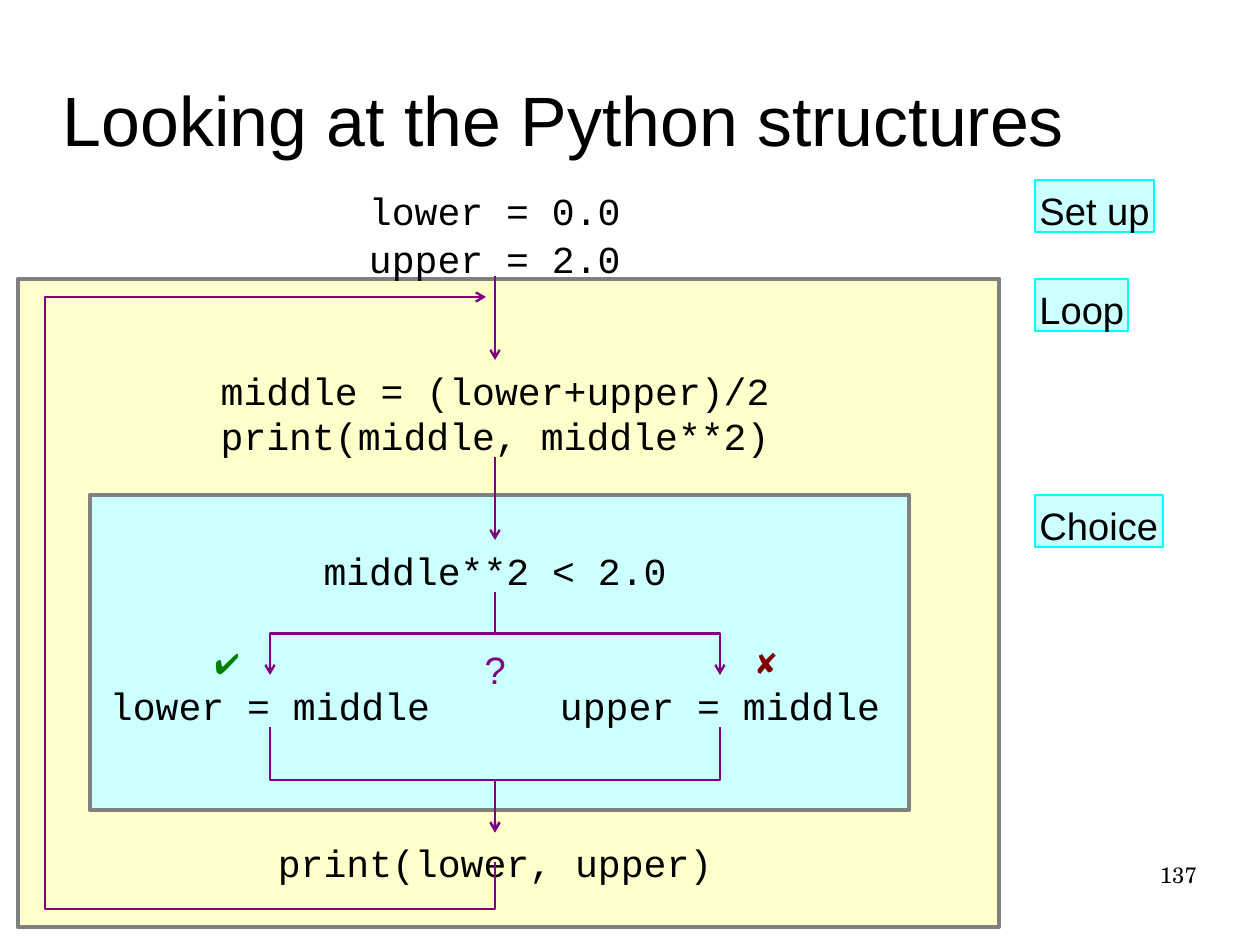
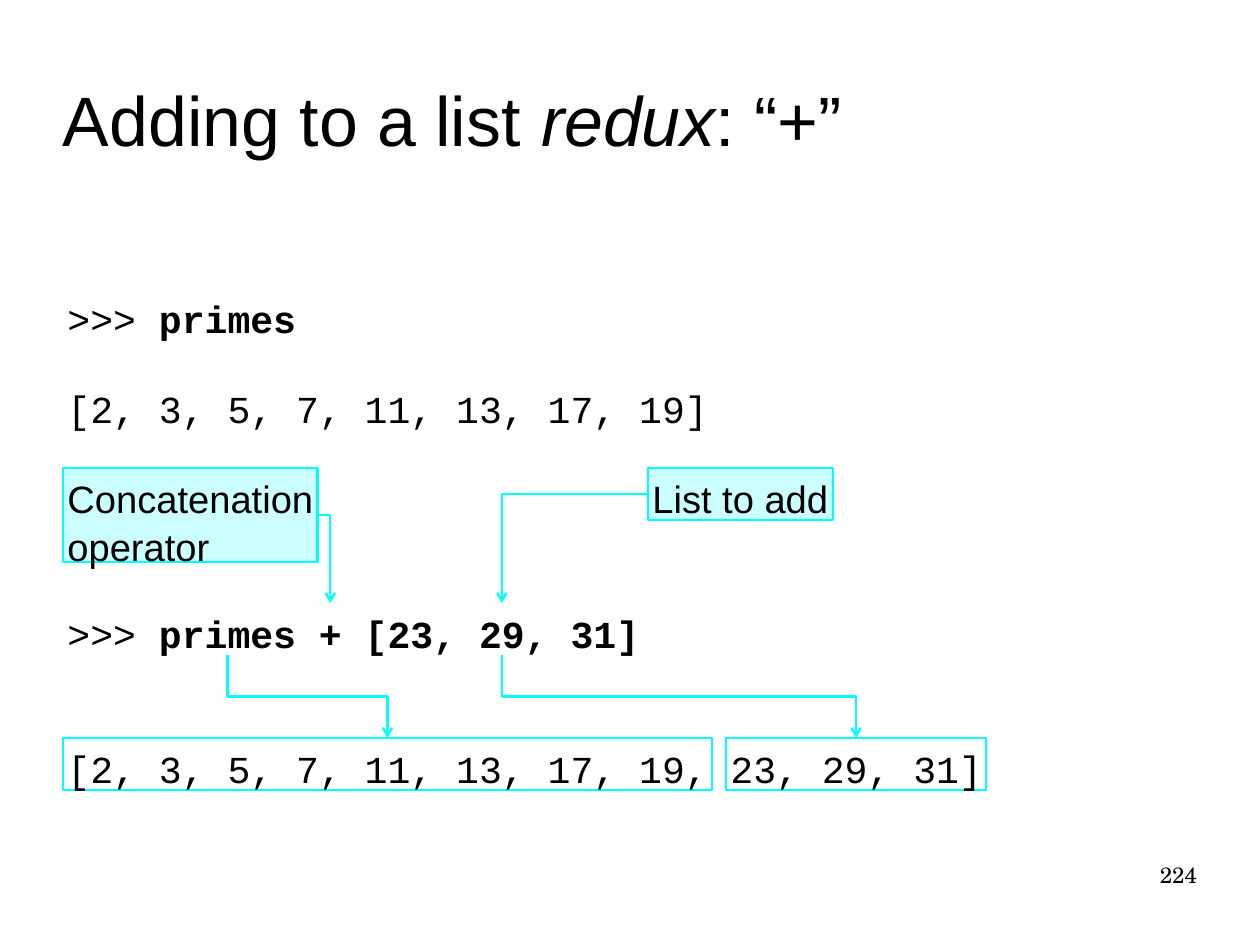
from dataclasses import dataclass
from typing import NamedTuple

from lxml.etree import SubElement
from pptx import Presentation
from pptx.dml.color import RGBColor
from pptx.enum.shapes import MSO_CONNECTOR as Connector, MSO_SHAPE as Preset
from pptx.enum.text import MSO_ANCHOR as Anchor, MSO_AUTO_SIZE as AutoSize, PP_ALIGN as Align
from pptx.oxml.ns import qn
from pptx.util import Cm, Pt

# Grid: 28 columns by 21 rows, each cell one centimetre
COLUMNS, ROWS = 28, 21
MARGIN = 1.4
INSET = 0.1
CODE_SIZE = 24
CHARACTER = CODE_SIZE * 0.6 * 2.54 / 72  # width of one code character
CODE_HEIGHT = 1.16
LABEL_HEIGHT = 1.15
THIN, THICK = 1.42, 2.83

# Shared look
SANS, MONO, SERIF = "Arial", "Courier New", "TeX Gyre Schola"
BLACK, GREY, PURPLE = "000000", "808080", "800080"
GREEN, RED = "008000", "800000"
CYAN, PALE_CYAN, PALE_YELLOW = "00FFFF", "CCFFFF", "FFFFCC"


class Point(NamedTuple):
    column: float
    row: float


class Run(NamedTuple):
    text: str
    bold: bool = False
    italic: bool = False


@dataclass(frozen=True)
class Box:
    column: float
    row: float
    width: float
    height: float

    def lengths(self):
        return tuple(Cm(n) for n in (self.column, self.row, self.width, self.height))


@dataclass(frozen=True)
class Label:
    lines: list
    box: Box


@dataclass(frozen=True)
class Mark:
    text: str
    box: Box
    color: str
    size: float


def paint(color_format, color: str) -> None:
    color_format.rgb = RGBColor.from_string(color)


def write_text(shape, lines, *, font=SANS, size=CODE_SIZE, color=BLACK, align=Align.LEFT,
               anchor=Anchor.TOP, inset=INSET, wrap=False, spacing=1.06) -> None:
    """Each line is a string or a list of runs."""
    frame = shape.text_frame
    frame.auto_size = AutoSize.NONE
    frame.word_wrap = wrap
    frame.vertical_anchor = anchor
    frame.margin_left = frame.margin_right = Cm(inset)
    frame.margin_top = frame.margin_bottom = Cm(inset)
    for index, line in enumerate(lines):
        paragraph = frame.add_paragraph() if index else frame.paragraphs[0]
        paragraph.alignment = align
        paragraph.line_spacing = spacing
        for part in [Run(line)] if isinstance(line, str) else line:
            run = paragraph.add_run()
            run.text = part.text
            run.font.name, run.font.size = font, Pt(size)
            run.font.bold, run.font.italic = part.bold, part.italic
            paint(run.font.color, color)


def add_text(slide, box: Box, lines, **text_format):
    shape = slide.shapes.add_textbox(*box.lengths())
    write_text(shape, lines, **text_format)
    return shape


def add_rectangle(slide, box: Box, *, line: str, fill=None, weight=THIN):
    shape = slide.shapes.add_shape(Preset.RECTANGLE, *box.lengths())
    shape.shadow.inherit = False
    if fill:
        shape.fill.solid()
        paint(shape.fill.fore_color, fill)
    else:
        shape.fill.background()
    paint(shape.line.color, line)
    shape.line.width = Pt(weight)
    return shape


def add_label(slide, label: Label) -> None:
    write_text(add_rectangle(slide, label.box, line=CYAN, fill=PALE_CYAN), label.lines)


def code_box(column: float, row: float, count: int) -> Box:
    return Box(column, row, count * CHARACTER + 2 * INSET, CODE_HEIGHT)


def add_centred_code(slide, axis: float, row: float, text: str) -> None:
    box = code_box(axis - len(text) * CHARACTER / 2 - INSET, row, len(text))
    add_text(slide, box, [text], font=MONO)


def style_arrow(shape, color: str) -> None:
    paint(shape.line.color, color)
    shape.line.width = Pt(THIN)
    outline = shape._element.spPr.find(qn("a:ln"))
    SubElement(outline, qn("a:tailEnd"), type="arrow")


def add_arrow(slide, kind, start: Point, end: Point, color: str):
    connector = slide.shapes.add_connector(
        kind, Cm(start.column), Cm(start.row), Cm(end.column), Cm(end.row))
    style_arrow(connector, color)
    SubElement(connector._element.spPr, qn("a:effectLst"))
    return connector


def turn(connector, degrees: int, flip: str) -> None:
    transform = connector._element.spPr.find(qn("a:xfrm"))
    transform.set("rot", str(degrees * 60000))
    if flip:
        transform.set(flip, "1")


def add_step(slide, start: Point, end: Point, color: str) -> None:
    """Elbow that runs down, across and down again."""
    across, down = end.column - start.column, end.row - start.row
    middle = Point((start.column + end.column) / 2, (start.row + end.row) / 2)
    corner = Point(middle.column - down / 2, middle.row - abs(across) / 2)
    opposite = Point(corner.column + down, corner.row + abs(across))
    connector = add_arrow(slide, Connector.ELBOW, corner, opposite, color)
    if across > 0:
        turn(connector, 270, "flipH")
    else:
        turn(connector, 90, "")


def add_corner(slide, start: Point, end: Point, color: str) -> None:
    """Elbow that runs across and then down."""
    left, right = sorted((start.column, end.column))
    connector = add_arrow(slide, Connector.ELBOW, Point(left, start.row),
                          Point(right, end.row), color)
    connector._element.spPr.find(qn("a:prstGeom")).set("prst", "bentConnector2")
    if end.column < start.column:
        turn(connector, 180, "flipV")


def add_path(slide, points, color: str) -> None:
    first, *others = [(Cm(p.column), Cm(p.row)) for p in points]
    builder = slide.shapes.build_freeform(*first)
    builder.add_line_segments(others, close=False)
    shape = builder.convert_to_shape()
    shape.shadow.inherit = False
    shape.fill.background()
    style_arrow(shape, color)


def add_slide(presentation, title_runs, number: str):
    slide = presentation.slides.add_slide(presentation.slide_layouts[5])
    title = slide.shapes.title
    title.left, title.top, title.width, title.height = Box(
        MARGIN, 0.84, COLUMNS - 2 * MARGIN, 3.5).lengths()
    write_text(title, [title_runs], size=44, anchor=Anchor.MIDDLE, inset=0, wrap=True)
    add_text(slide, Box(20.07, 19.13, 6.53, 1.45), [number], font=SERIF, size=14,
             align=Align.RIGHT, inset=0, wrap=True, spacing=1.0)
    return slide


def build_structures(presentation) -> None:
    slide = add_slide(presentation, [Run("Looking at the Python structures")], "137")
    axis, yes, no = 11, 6, 16
    loop_row, choice_row = 6.2, 11

    # Nested frames
    add_rectangle(slide, Box(0.4, loop_row, 21.8, 14.4), line=GREY,
                  fill=PALE_YELLOW, weight=THICK)
    add_rectangle(slide, Box(2, choice_row, 18.2, 7), line=GREY,
                  fill=PALE_CYAN, weight=THICK)

    # Code
    add_text(slide, Box(8.1, 4, 5.8, 2.13), ["lower = 0.0", "upper = 2.0"], font=MONO)
    for column, row, text in (
        (axis, 8, "middle = (lower+upper)/2"),
        (axis, 9, "print(middle, middle**2)"),
        (axis, 12, "middle**2 < 2.0"),
        (yes, 15, "lower = middle"),
        (no, 15, "upper = middle"),
        (axis, 18.5, "print(lower, upper)"),
    ):
        add_centred_code(slide, column, row, text)

    # Flow
    for start, end in ((6.13, 8), (10.16, 12)):
        add_arrow(slide, Connector.STRAIGHT, Point(axis, start), Point(axis, end), PURPLE)
    for branch in (yes, no):
        add_step(slide, Point(axis, 13.16), Point(branch, 15), PURPLE)
        add_step(slide, Point(branch, 16.16), Point(axis, 18.5), PURPLE)
    add_path(slide, [Point(axis, 19.15), Point(axis, 20.2), Point(1, 20.2),
                     Point(1, 6.6), Point(10.8, 6.6)], PURPLE)

    # Decision marks
    for mark in (
        Mark("?", Box(10.67, 14.2, 0.66, LABEL_HEIGHT), PURPLE, 24),
        Mark("✔", Box(4.67, 14.2, 0.91, LABEL_HEIGHT), GREEN, 18),
        Mark("✘", Box(16.66, 14.2, 0.76, LABEL_HEIGHT), RED, 18),
    ):
        add_text(slide, mark.box, [mark.text], color=mark.color, size=mark.size)

    # Side labels
    for text, row, width in (("Set up", 4, 2.64), ("Loop", loop_row, 2.07),
                             ("Choice", choice_row, 2.84)):
        add_label(slide, Label([text], Box(23, row, width, LABEL_HEIGHT)))


def build_list_addition(presentation) -> None:
    slide = add_slide(presentation, [Run("Adding to a list "), Run("redux", italic=True),
                                     Run(": “+”")], "224")
    sum_row, result_row, label_row = 13.4, 16.4, 10.4

    def centre(character: float) -> float:
        return MARGIN + INSET + character * CHARACTER

    # Interpreter session
    for row, runs in (
        (6.4, [Run(">>> "), Run("primes", bold=True)]),
        (8.4, [Run("[2, 3, 5, 7, 11, 13, 17, 19]")]),
        (sum_row, [Run(">>> "), Run("primes + [23, 29, 31]", bold=True)]),
    ):
        count = sum(len(run.text) for run in runs)
        add_text(slide, code_box(MARGIN, row, count), [runs], font=MONO)

    # Boxed result, one gap character between the parts
    first, second = "[2, 3, 5, 7, 11, 13, 17, 19,", "23, 29, 31]"
    offset = len(first) + 1
    for start, text in ((0, first), (offset, second)):
        box = code_box(MARGIN + start * CHARACTER, result_row, len(text))
        write_text(add_rectangle(slide, box, line=CYAN), [text], font=MONO)

    # Labels and arrows
    operator = Label(["Concatenation", "operator"], Box(MARGIN, label_row, 5.66, 2.09))
    addition = Label(["List to add"], Box(14.4, label_row, 4.11, LABEL_HEIGHT))
    for label in (operator, addition):
        add_label(slide, label)
    primes, plus, added = centre(7), centre(11.5), centre(19)
    add_corner(slide, Point(MARGIN + operator.box.width, label_row + operator.box.height / 2),
               Point(plus, sum_row), CYAN)
    add_corner(slide, Point(addition.box.column, label_row + LABEL_HEIGHT / 2),
               Point(added, sum_row), CYAN)
    for source, target in ((primes, centre(len(first) / 2)),
                           (added, centre(offset + len(second) / 2))):
        add_step(slide, Point(source, sum_row + CODE_HEIGHT),
                 Point(target, result_row), CYAN)


def main() -> None:
    presentation = Presentation()
    presentation.slide_width, presentation.slide_height = Cm(COLUMNS), Cm(ROWS)
    build_structures(presentation)
    build_list_addition(presentation)
    presentation.save("out.pptx")


if __name__ == "__main__":
    main()
